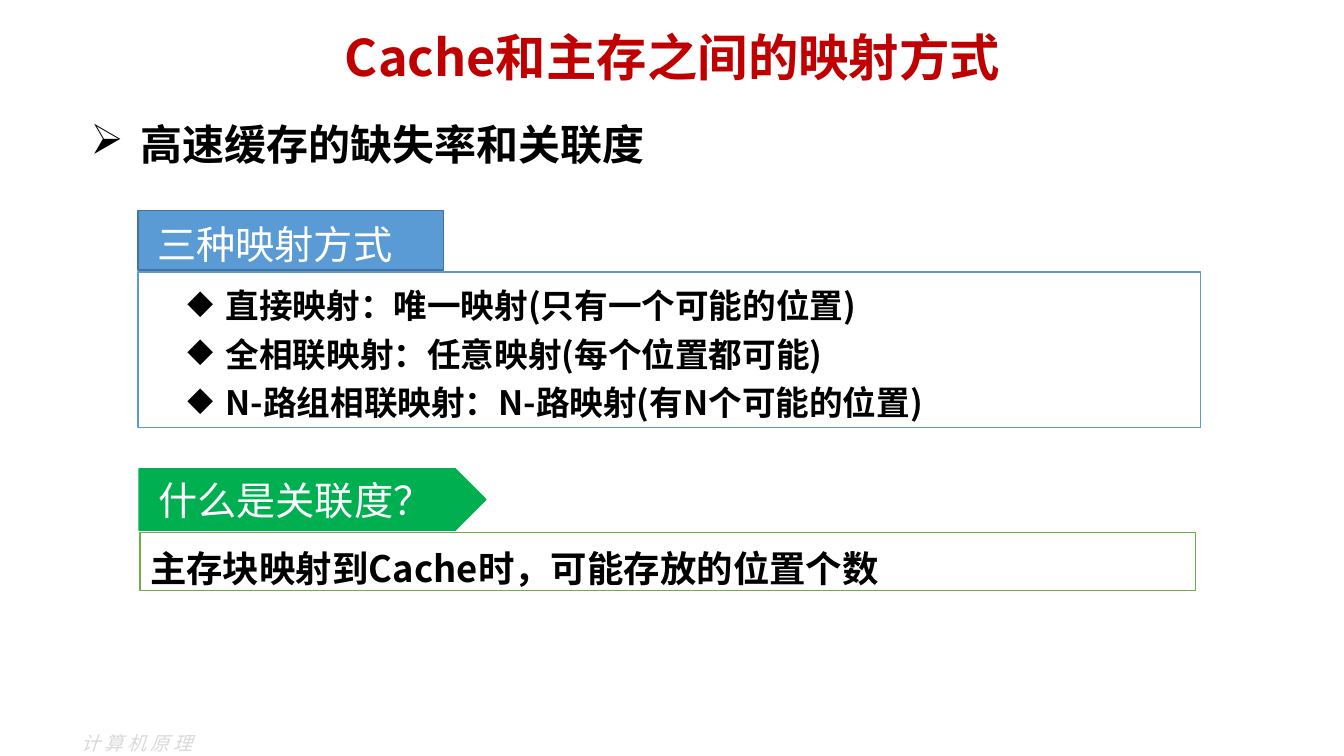
from lxml import etree
from pptx import Presentation
from pptx import util as u
from pptx.dml import color
from pptx.enum import shapes, text
from pptx.oxml import ns

COLORS = {"title": "C00000", "ink": "000000", "white": "FFFFFF", "blue": "5B9BD5",
          "blue_edge": "43739E", "green": "00B050", "green_edge": "70AD47",
          "footer": "D9D9D9"}
CJK = "Noto Sans CJK SC"


def rgb(name):
    """Return the palette colour with the given name."""
    return color.RGBColor.from_string(COLORS[name])


def add_run(paragraph, wording, size, ink, bold=False, latin=CJK):
    """Add one formatted run to a paragraph."""
    run = paragraph.add_run()
    run.text = wording
    run.font.size = u.Pt(size)
    run.font.bold = bold
    run.font.color.rgb = rgb(ink)
    run.font.name = latin
    east_asian = etree.SubElement(run.font._element, ns.qn("a:ea"))
    east_asian.set("typeface", CJK)
    return run


def set_indent(paragraph, left, hanging, bullet=None):
    """Give a paragraph a hanging indent and, if wanted, a bullet."""
    properties = paragraph._p.get_or_add_pPr()
    properties.set("marL", str(u.Inches(left)))
    properties.set("indent", str(-u.Inches(hanging)))
    if bullet:
        etree.SubElement(properties, ns.qn("a:buChar")).set("char", bullet)


def prepare_frame(shape, anchor, left_inset=0.1):
    """Set wrapping, anchor and left inset, and return the text frame."""
    frame = shape.text_frame
    frame.word_wrap = True
    frame.vertical_anchor = anchor
    frame.margin_left = u.Inches(left_inset)
    return frame


def add_text_box(slide, box, anchor):
    """Add a text box and return its first paragraph."""
    shape = slide.shapes.add_textbox(*map(u.Inches, box))
    return prepare_frame(shape, anchor).paragraphs[0]


def add_panel(slide, kind, box, fill, edge, anchor, left_inset=0.1):
    """Add a filled, outlined shape and return its text frame."""
    shape = slide.shapes.add_shape(kind, *map(u.Inches, box))
    shape.shadow.inherit = False
    shape.fill.solid()
    shape.fill.fore_color.rgb = rgb(fill)
    shape.line.color.rgb = rgb(edge)
    shape.line.width = u.Pt(1)
    frame = prepare_frame(shape, anchor, left_inset)
    frame.paragraphs[0].alignment = text.PP_ALIGN.LEFT
    return frame


def add_title(slide, box):
    """Place and fill the title placeholder."""
    title = slide.shapes.title
    title.left, title.top, title.width, title.height = map(u.Inches, box)
    paragraph = prepare_frame(title, text.MSO_ANCHOR.MIDDLE).paragraphs[0]
    paragraph.alignment = text.PP_ALIGN.CENTER
    paragraph.line_spacing = 0.9
    add_run(paragraph, "Cache和主存之间的映射方式", 36, "title", True)


def add_heading(slide, box):
    """Add the bulleted section heading."""
    paragraph = add_text_box(slide, box, text.MSO_ANCHOR.MIDDLE)
    set_indent(paragraph, 0.5, 0.5, "➢")
    add_run(paragraph, "高速缓存的缺失率和关联度", 30, "ink", True)


def add_mapping_section(slide, box):
    """Add the blue tab and the list of mapping methods under it."""
    left, top, width, height = box
    rectangle = shapes.MSO_SHAPE.RECTANGLE
    body = add_panel(slide, rectangle, (left, top + 0.61, width, height - 0.61),
                     "white", "blue", text.MSO_ANCHOR.TOP)
    methods = ["直接映射：唯一映射(只有一个可能的位置)",
               "全相联映射：任意映射(每个位置都可能)",
               "N-路组相联映射：N-路映射(有N个可能的位置)"]
    for index, method in enumerate(methods):
        paragraph = body.add_paragraph() if index else body.paragraphs[0]
        paragraph.alignment = text.PP_ALIGN.LEFT
        paragraph.level = 1
        paragraph.line_spacing = 1.2
        set_indent(paragraph, 0.77, 0.38, "◆")
        add_run(paragraph, method, 24, "ink", True)
    tab = add_panel(slide, rectangle, (left, top, 3.03, 0.59),
                    "blue", "blue_edge", text.MSO_ANCHOR.TOP, 0.19)
    tab.paragraphs[0].line_spacing = 1.1
    add_run(tab.paragraphs[0], "三种映射方式", 28, "white", latin="Arial")


def add_definition_section(slide, box):
    """Add the green arrow tab and the definition under it."""
    left, top, width, height = box
    body = add_panel(slide, shapes.MSO_SHAPE.RECTANGLE,
                     (left + 0.01, top + 0.63, width - 0.01, height - 0.63),
                     "white", "green_edge", text.MSO_ANCHOR.TOP)
    paragraph = body.paragraphs[0]
    paragraph.line_spacing = 1.2
    set_indent(paragraph, 0.38, 0.38)
    add_run(paragraph, "主存块映射到Cache时，可能存放的位置个数", 26, "ink", True)
    tab = add_panel(slide, shapes.MSO_SHAPE.PENTAGON, (left, top, 3.44, 0.61),
                    "green", "green", text.MSO_ANCHOR.MIDDLE, 0.19)
    add_run(tab.paragraphs[0], "什么是关联度？", 28, "white")


def add_footer(slide, box):
    """Add the pale course name at the bottom."""
    paragraph = add_text_box(slide, box, text.MSO_ANCHOR.TOP)
    run = add_run(paragraph, "计算机原理", 13.5, "footer", latin="Arial")
    run.font.italic = True
    run.font._element.set("spc", "300")


def main():
    """Build and save the presentation."""
    presentation = Presentation()
    presentation.slide_width = u.Inches(13.33)
    presentation.slide_height = u.Inches(7.5)
    slide = presentation.slides.add_slide(presentation.slide_layouts[5])
    add_footer(slide, (0.71, 7.21, 1.46, 0.34))
    add_title(slide, (0.67, 0.17, 12, 0.85))
    add_heading(slide, (0.8, 1.06, 5.99, 0.74))
    add_mapping_section(slide, (1.37, 2.09, 10.54, 2.15))
    add_definition_section(slide, (1.38, 4.65, 10.48, 1.21))
    presentation.save("out.pptx")


if __name__ == "__main__":
    main()
